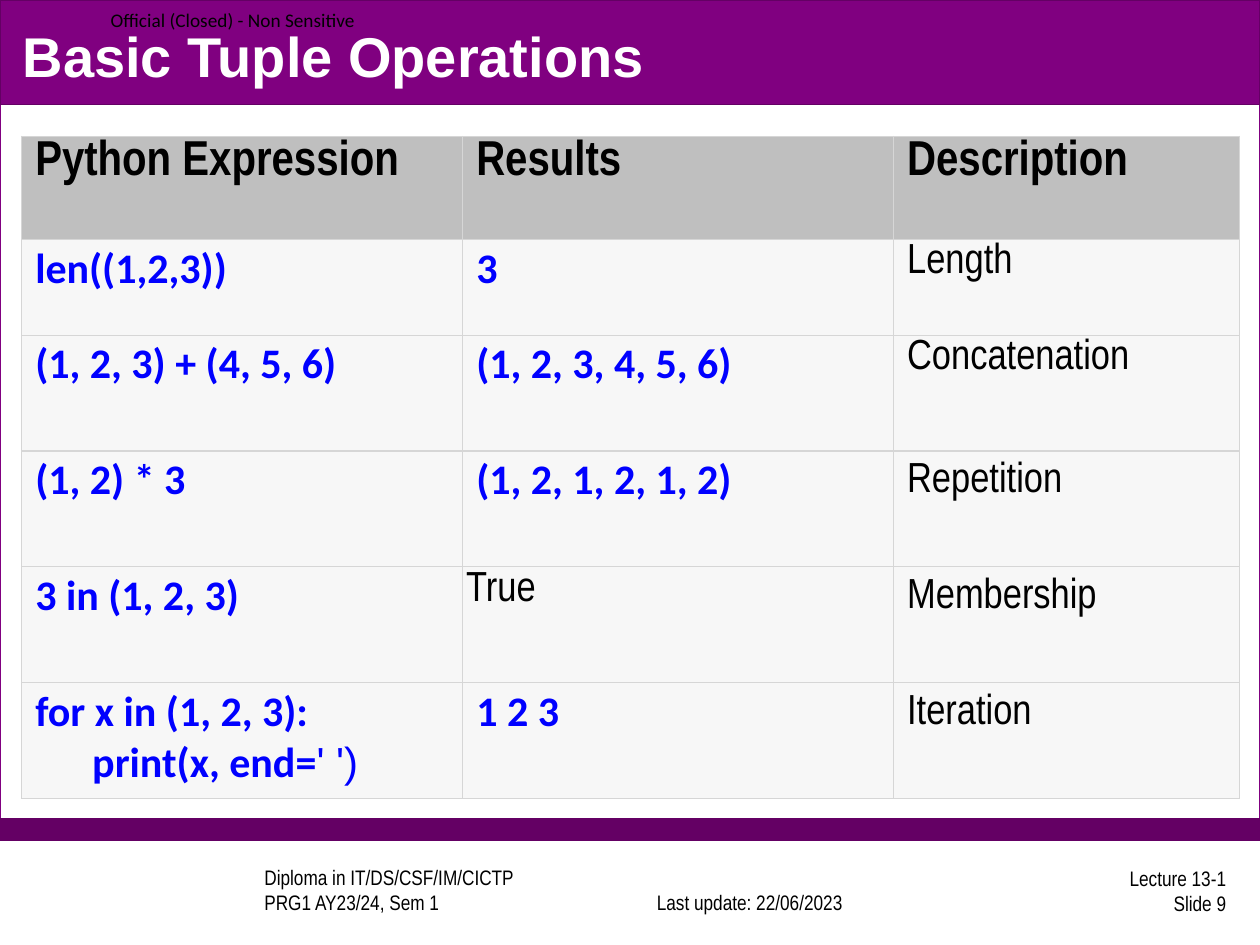
from pptx import Presentation, util as u
from pptx.dml.color import RGBColor
from pptx.enum import shapes as sh, text as tx
from pptx.oxml import parse_xml
from pptx.oxml.ns import nsdecls

TITLE = "Basic Tuple Operations"
CODE = ("Calibri", 24, "0000FF", True)
PLAIN = ("Arial Narrow", 24, "000000", False)
HEAD = ("Arial Narrow", 28, "000000", True)
TAIL = ("Arial", 24, "0000FF", False)
SMALL = ("Arial Narrow", 12, "000000", False)

BARS = [
    ((0, 0, 10, 6.67), "FFFFFF", "800080"),
    ((0, 6.5, 10, 0.17), "640064", "640064"),
    ((0, 0, 10, 0.83), "800080", "640064"),
]
LEFT, MID, RIGHT = tx.PP_ALIGN.LEFT, tx.PP_ALIGN.CENTER, tx.PP_ALIGN.RIGHT
LOW, HALF = tx.MSO_ANCHOR.BOTTOM, tx.MSO_ANCHOR.MIDDLE
NOTES = [
    ((2, 6.89, 2.67, 0.42), "Diploma in IT/DS/CSF/IM/CICTP\nPRG1 AY23/24, Sem 1", SMALL, LEFT, LOW),
    ((4.91, 6.89, 2.08, 0.42), "Last update: 22/06/2023", SMALL, MID, LOW),
    ((7.75, 6.86, 2.08, 0.42), "Lecture 13-1\nSlide 9", SMALL, RIGHT, HALF),
    ((0.78, 0, 2.33, 0.31), "Official (Closed) - Non Sensitive",
     ("Calibri", 11, "000000", False), LEFT, HALF),
]

COLS = [3.5, 3.42, 2.75]
ROWS = [0.82, 0.76] + [0.92] * 4
INSET, GAP, DROP = 0.11, 0.03, 0.09
HEADS = ["Python Expression", "Results", "Description"]
CELLS = [
    ("len((1,2,3))", "3", "Length"),
    ("(1, 2, 3) + (4, 5, 6)", "(1, 2, 3, 4, 5, 6)", "Concatenation"),
    ("(1, 2) * 3", "(1, 2, 1, 2, 1, 2)", "Repetition"),
    ("3 in (1, 2, 3)", "True", "Membership"),
    ("for x in (1, 2, 3):", "1 2 3", "Iteration"),
]
LOOP = [("      print(x, end=", CODE), ("' ')", TAIL)]


def color(code):
    return RGBColor.from_string(code)


def style(font, look):
    font.name, size, code, font.bold = look
    font.size = u.Pt(size)
    font.color.rgb = color(code)


def place(box):
    return [u.Inches(n) for n in box]


def add_bar(slide, box, fill, line):
    bar = slide.shapes.add_shape(sh.MSO_SHAPE.RECTANGLE, *place(box))
    bar.shadow.inherit = False
    bar.fill.solid()
    bar.fill.fore_color.rgb = color(fill)
    bar.line.color.rgb = color(line)
    bar.line.width = u.Pt(0.75)


def add_note(slide, box, words, look, align, anchor):
    frame = slide.shapes.add_textbox(*place(box)).text_frame
    frame.word_wrap = True
    frame.vertical_anchor = anchor
    par = frame.paragraphs[0]
    par.text = words
    par.alignment = align
    style(par.font, look)


def add_title(slide):
    title = slide.shapes.title
    title.left, title.top, title.width, title.height = place((0.08, 0.13, 9.83, 0.62))
    frame = title.text_frame
    frame.text = TITLE
    frame.vertical_anchor = HALF
    frame.paragraphs[0].alignment = LEFT
    style(frame.paragraphs[0].font, ("Arial", 32, "FFFFFF", True))
    title.element.getparent().append(title.element)


def edge(cell):
    props = cell._tc.get_or_add_tcPr()
    for i, side in enumerate(("lnL", "lnR", "lnT", "lnB")):
        props.insert(i, parse_xml(
            f'<a:{side} {nsdecls("a")} w="9525"><a:solidFill>'
            f'<a:srgbClr val="D6D6D6"/></a:solidFill></a:{side}>'))


def fill_cell(cell, words, look, fill, left=INSET, top=GAP):
    cell.margin_left, cell.margin_top = u.Inches(left), u.Inches(top)
    cell.margin_right = cell.margin_bottom = u.Inches(GAP)
    cell.fill.solid()
    cell.fill.fore_color.rgb = color(fill)
    edge(cell)
    cell.text = words
    style(cell.text_frame.paragraphs[0].font, look)


def add_table(slide):
    box = place((0.17, 1.08, sum(COLS), sum(ROWS)))
    table = slide.shapes.add_table(len(ROWS), len(COLS), *box).table
    table.first_row = table.horz_banding = False
    for col, wide in zip(table.columns, COLS):
        col.width = u.Inches(wide)
    for row, high in zip(table.rows, ROWS):
        row.height = u.Inches(high)
    for c, words in enumerate(HEADS):
        fill_cell(table.cell(0, c), words, HEAD, "BFBFBF")
    for r, line in enumerate(CELLS, 1):
        for c, words in enumerate(line):
            plain = c == 2 or words == "True"
            left = GAP if words == "True" else INSET
            top = DROP if c == 2 and r > 2 else GAP
            fill_cell(table.cell(r, c), words, PLAIN if plain else CODE, "F7F7F7", left, top)
    par = table.cell(len(CELLS), 0).text_frame.add_paragraph()
    for words, look in LOOP:
        run = par.add_run()
        run.text = words
        style(run.font, look)


def main():
    """Build the slide on basic tuple operations."""
    deck = Presentation()
    deck.slide_width, deck.slide_height = u.Inches(10), u.Inches(7.5)
    slide = deck.slides.add_slide(deck.slide_layouts[5])
    for bar in BARS:
        add_bar(slide, *bar)
    for note in NOTES:
        add_note(slide, *note)
    add_title(slide)
    add_table(slide)
    deck.save("out.pptx")


if __name__ == "__main__":
    main()
